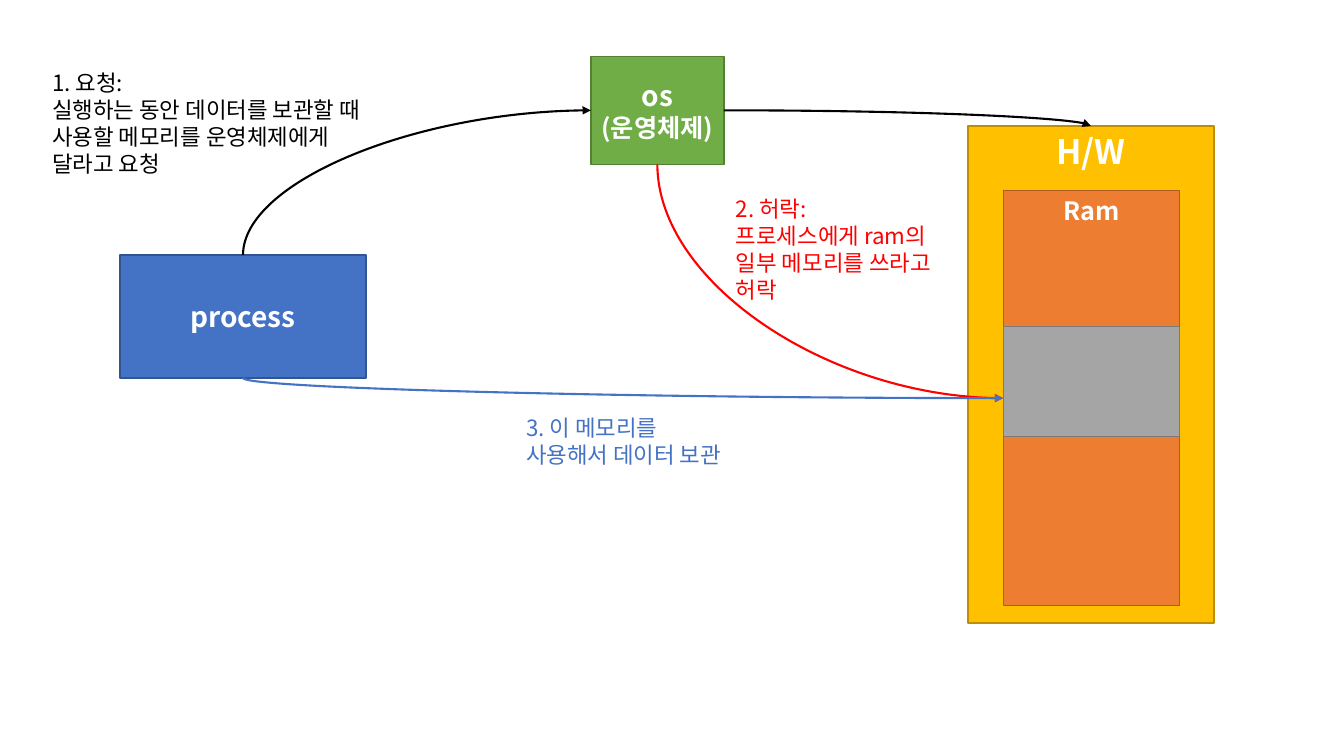
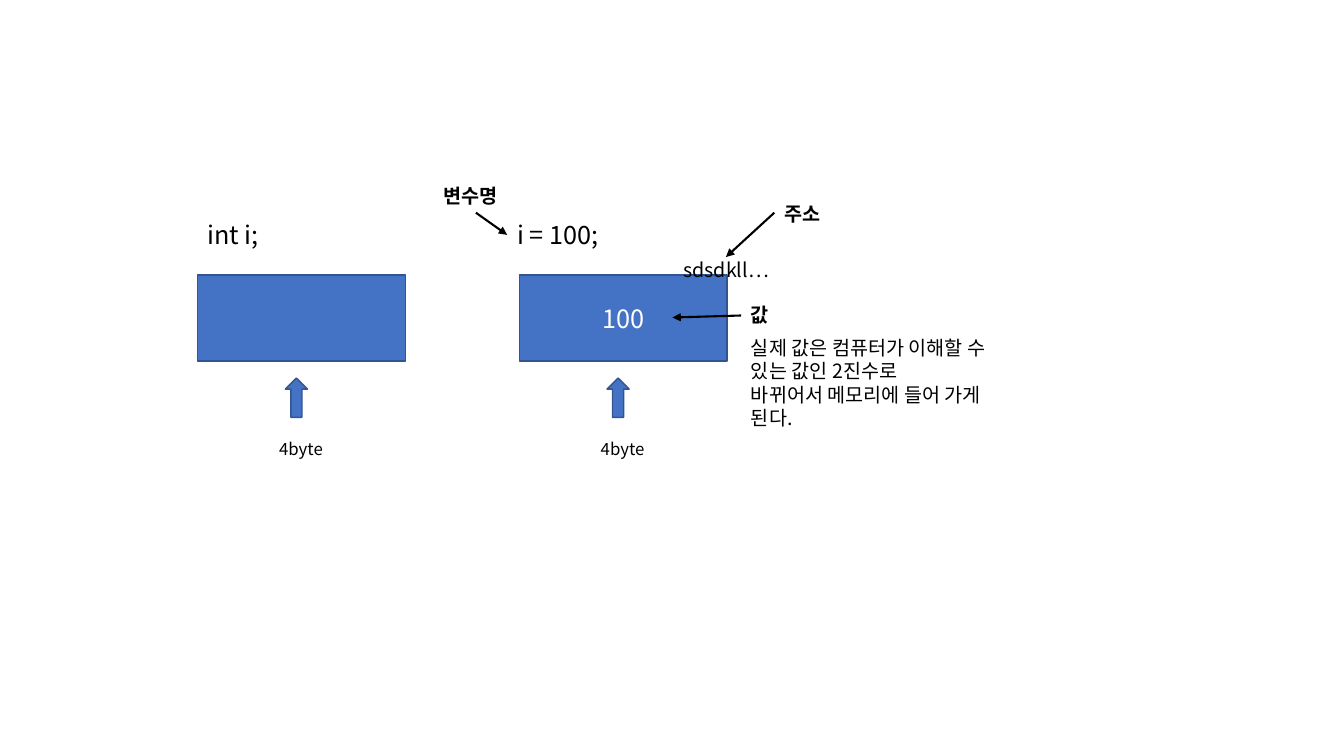
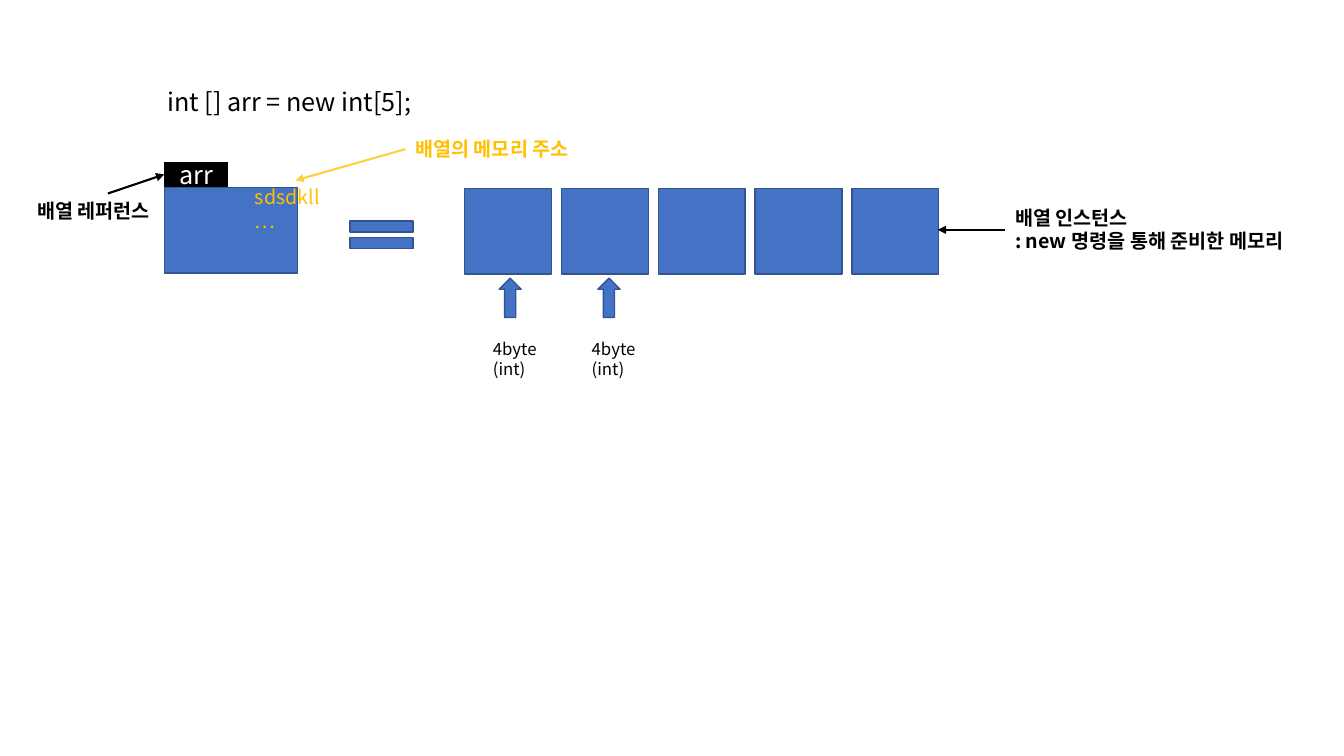
from lxml.etree import SubElement
from pptx import Presentation
from pptx.dml.color import RGBColor
from pptx.enum.shapes import MSO_CONNECTOR, MSO_SHAPE
from pptx.enum.text import MSO_ANCHOR, MSO_AUTO_SIZE, PP_ALIGN
from pptx.oxml.ns import qn
from pptx.util import Pt

EMU_PER_PX = 9144  # 100 px to the inch
FONT = "Noto Sans CJK KR"
COLORS = {
    "black": "000000", "white": "FFFFFF", "red": "FF0000",
    "blue": "4472C4", "blue_edge": "325491",
    "green": "70AD47", "green_edge": "538035",
    "gold": "FFC000", "gold_edge": "BD8E00", "gold_light": "FFD040",
    "orange": "ED7D31", "orange_edge": "AF5C24",
    "gray": "A5A5A5", "gray_edge": "7A7A7A",
}
TOP, LEFT, BOTTOM, RIGHT = range(4)  # connection sites of a rectangle


def px(*lengths):
    return [round(length * EMU_PER_PX) for length in lengths]


def rgb(name):
    return RGBColor.from_string(COLORS[name])


def write(frame, lines, color, bold=False, align=PP_ALIGN.LEFT):
    """Fill a text frame with one paragraph for each (text, size) pair."""
    frame.word_wrap = True
    for index, (text, size) in enumerate(lines):
        para = frame.add_paragraph() if index else frame.paragraphs[0]
        para.alignment = align
        span = para.add_run()
        span.text = text
        span.font.size = Pt(size)
        span.font.bold = bold
        span.font.color.rgb = rgb(color)
        span.font.name = FONT
        SubElement(span.font._element, qn("a:ea"), typeface=FONT)


def add_box(slide, at, color="blue", lines=(), bold=False,
            anchor=MSO_ANCHOR.MIDDLE, preset=MSO_SHAPE.RECTANGLE):
    box = slide.shapes.add_shape(preset, *px(*at))
    box.shadow.inherit = False
    box.fill.solid()
    box.fill.fore_color.rgb = rgb(color)
    box.line.color.rgb = rgb("black" if color == "black" else color + "_edge")
    box.line.width = Pt(1)
    box.text_frame.vertical_anchor = anchor
    write(box.text_frame, lines, "white", bold, PP_ALIGN.CENTER)
    return box


def add_label(slide, at, *texts, size=14, color="black", bold=False):
    label = slide.shapes.add_textbox(*px(*at))
    write(label.text_frame, [(text, size) for text in texts], color, bold)
    label.text_frame.auto_size = MSO_AUTO_SIZE.SHAPE_TO_FIT_TEXT


def style_arrow(arrow, color):
    arrow.line.color.rgb = rgb(color)
    arrow.line.width = Pt(1.5)
    SubElement(arrow.line._get_or_add_ln(), qn("a:tailEnd"), type="triangle")
    SubElement(arrow._element.spPr, qn("a:effectLst"))


def add_arrow(slide, start, end, color="black"):
    arrow = slide.shapes.add_connector(
        MSO_CONNECTOR.STRAIGHT, *px(*start, *end))
    style_arrow(arrow, color)


def add_curve(slide, source, source_site, target, target_site, color="black"):
    """Join two boxes by a quarter bend running to the right."""
    curve = slide.shapes.add_connector(MSO_CONNECTOR.CURVE, 0, 0, 0, 0)
    curve.begin_connect(source, source_site)
    curve.end_connect(target, target_site)
    properties = curve._element.spPr
    properties.find(qn("a:prstGeom")).set("prst", "curvedConnector2")
    if source_site in (TOP, BOTTOM):
        # The preset leaves sideways, so a vertical start needs a turned frame.
        middle_x = (curve.begin_x + curve.end_x) // 2
        middle_y = (curve.begin_y + curve.end_y) // 2
        width, height = curve.height, curve.width
        curve.left, curve.top = middle_x - width // 2, middle_y - height // 2
        curve.width, curve.height = width, height
        upward = source_site == TOP
        frame = properties.find(qn("a:xfrm"))
        frame.set("rot", str((90 if upward else 270) * 60000))
        frame.set("flipH", "1")
        frame.set("flipV", "1" if upward else "0")
    style_arrow(curve, color)


def add_size_marker(slide, left, top, *texts):
    """Up arrow with the size of the memory cell written below it."""
    add_box(slide, (left, top, 22, 39), preset=MSO_SHAPE.UP_ARROW)
    add_label(slide, (left - 16, top + 55, 69, 20 * len(texts) + 10),
              *texts, size=12)


def build_memory_request(slide):
    process = add_box(slide, (119, 253, 244, 122),
                      lines=[("process", 20)], bold=True)
    system = add_box(slide, (586, 56, 132, 107), "green",
                     [("os", 20), ("(운영체제)", 18)], True)
    hardware = add_box(slide, (960, 125, 244, 493), "gold",
                       [("H/W", 24)], True, MSO_ANCHOR.TOP)
    ram = add_box(slide, (995, 189, 175, 412), "orange",
                  [("Ram", 18)], True, MSO_ANCHOR.TOP)
    add_curve(slide, process, TOP, system, LEFT)
    add_curve(slide, system, RIGHT, hardware, TOP)
    add_curve(slide, system, BOTTOM, ram, LEFT, "red")
    add_curve(slide, process, BOTTOM, ram, LEFT, "blue")
    add_label(slide, (42, 64, 374, 118), "1. 요청:",
              "실행하는 동안 데이터를 보관할 때 사용할 메모리를 운영체제에게",
              "달라고 요청", size=16)
    add_label(slide, (720, 189, 218, 122), "2. 허락:",
              "프로세스에게 ram의 일부 메모리를 쓰라고 허락",
              size=16, color="red")
    add_label(slide, (512, 406, 218, 64),
              "3. 이 메모리를 사용해서 데이터 보관", size=16, color="blue")
    add_box(slide, (995, 324, 175, 109), "gray")


def build_variable(slide):
    columns = [(196, 196, "int i;", []), (515, 503, "i = 100;", [("100", 18)])]
    for left, code_left, code, value in columns:
        add_box(slide, (left, 273, 206, 85), lines=value)
        add_label(slide, (code_left, 213, 217, 40), code, size=18)
        add_size_marker(slide, left + 87, 375, "4byte")
    for left, top, name in [(430, 178, "변수명"), (735, 296, "값"),
                            (768, 195, "주소")]:
        add_label(slide, (left, top, 85, 34), name, bold=True)
    add_arrow(slide, (735, 313), (667, 315))
    add_arrow(slide, (472, 211), (503, 233))
    add_arrow(slide, (768, 211), (720, 255))
    add_label(slide, (668, 251, 226, 34), "sdsdkll…")
    add_label(slide, (735, 328, 255, 104),
              "실제 값은 컴퓨터가 이해할 수 있는 값인 2진수로",
              "바뀌어서 메모리에 들어 가게 된다.")


def build_array(slide):
    add_label(slide, (156, 81, 405, 40), "int [] arr = new int[5];", size=18)
    add_box(slide, (163, 186, 132, 85))
    add_box(slide, (163, 161, 63, 24), "black", [("arr", 18)])
    add_label(slide, (27, 192, 160, 34), "배열 레퍼런스", bold=True)
    add_arrow(slide, (107, 192), (163, 173))
    add_label(slide, (402, 131, 222, 34), "배열의 메모리 주소",
              color="gold", bold=True)
    add_arrow(slide, (402, 148), (293, 179), "gold_light")
    add_label(slide, (243, 179, 101, 34), "sdsdkll…", color="gold")
    add_box(slide, (336, 210, 85, 46), preset=MSO_SHAPE.MATH_EQUAL)
    for index in range(5):
        add_box(slide, (461 + 96 * index, 187, 86, 85))
    for left in (495, 593):
        add_size_marker(slide, left, 276, "4byte", "(int)")
    add_label(slide, (997, 199, 335, 57), "배열 인스턴스",
              ": new 명령을 통해 준비한 메모리", bold=True)
    add_arrow(slide, (997, 228), (930, 228))


def main():
    deck = Presentation()
    deck.slide_width, deck.slide_height = px(1333, 750)
    blank = deck.slide_layouts[6]
    for build in (build_memory_request, build_variable, build_array):
        build(deck.slides.add_slide(blank))
    deck.save("out.pptx")


if __name__ == "__main__":
    main()
